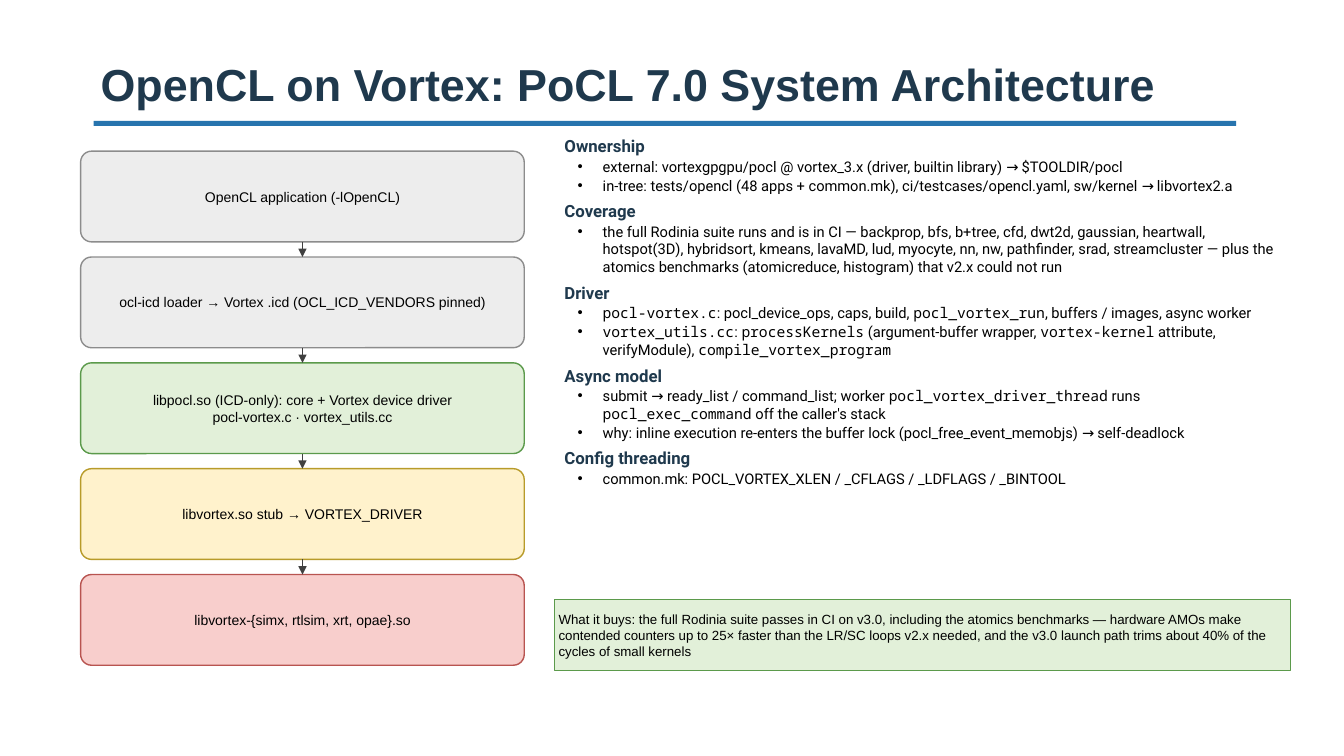
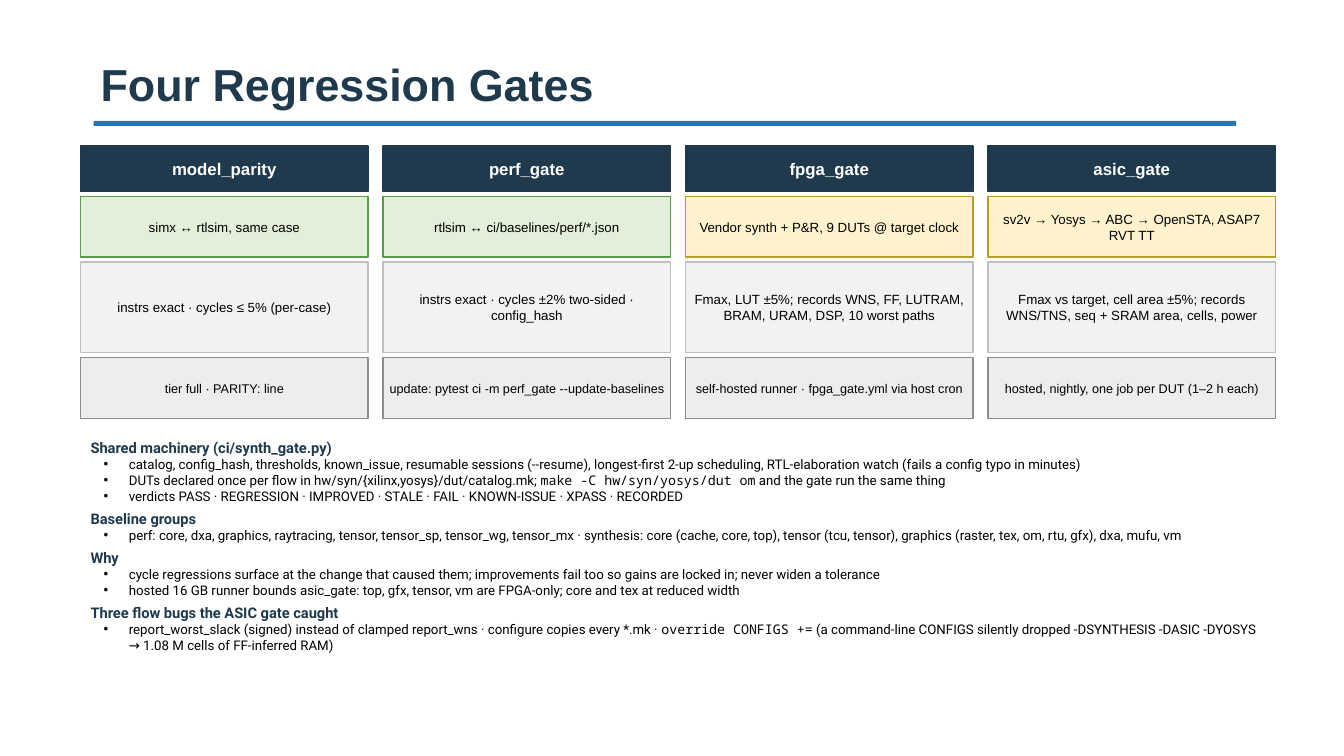
import lxml.etree
import pptx
import pptx.dml.color
import pptx.enum.shapes
import pptx.enum.text
import pptx.oxml.ns
import pptx.util

Inches = pptx.util.Inches
Pt = pptx.util.Pt
SHAPE = pptx.enum.shapes.MSO_SHAPE
ALIGN = pptx.enum.text.PP_ALIGN
ANCHOR = pptx.enum.text.MSO_ANCHOR

COLORS = {"navy": "1F394D", "blue": "2774AE", "black": "000000", "white": "FFFFFF", "arrow": "404040"}
PANELS = {
    "gray": ("EDEDED", "8C8C8C"),
    "light": ("F2F2F2", "BFBFBF"),
    "green": ("E2F0D9", "5B9A4B"),
    "yellow": ("FFF2CC", "B89B2A"),
    "red": ("F8CECC", "B85450"),
    "navy": (COLORS["navy"], COLORS["navy"]),
}
SANS, BODY, MONO = "Arial", "Roboto", "Noto Sans Mono"

STACK = [
    ("gray", "OpenCL application (-lOpenCL)"),
    ("gray", "ocl-icd loader → Vortex .icd (OCL_ICD_VENDORS pinned)"),
    ("green", "libpocl.so (ICD-only): core + Vortex device driver\npocl-vortex.c · vortex_utils.cc"),
    ("yellow", "libvortex.so stub → VORTEX_DRIVER"),
    ("red", "libvortex-{simx, rtlsim, xrt, opae}.so"),
]
ARCHITECTURE_NOTES = [
    ("Ownership", [
        "external: vortexgpgpu/pocl @ vortex_3.x (driver, builtin library) → $TOOLDIR/pocl",
        "in-tree: tests/opencl (48 apps + common.mk), ci/testcases/opencl.yaml, sw/kernel → libvortex2.a",
    ]),
    ("Coverage", [
        "the full Rodinia suite runs and is in CI — backprop, bfs, b+tree, cfd, dwt2d, gaussian, heartwall, "
        "hotspot(3D), hybridsort, kmeans, lavaMD, lud, myocyte, nn, nw, pathfinder, srad, streamcluster — "
        "plus the atomics benchmarks (atomicreduce, histogram) that v2.x could not run",
    ]),
    ("Driver", [
        "`pocl-vortex.c`: pocl_device_ops, caps, build, `pocl_vortex_run`, buffers / images, async worker",
        "`vortex_utils.cc`: `processKernels` (argument-buffer wrapper, `vortex-kernel` attribute, "
        "verifyModule), `compile_vortex_program`",
    ]),
    ("Async model", [
        "submit → ready_list / command_list; worker `pocl_vortex_driver_thread` runs "
        "`pocl_exec_command` off the caller's stack",
        "why: inline execution re-enters the buffer lock (pocl_free_event_memobjs) → self-deadlock",
    ]),
    ("Config threading", ["common.mk: POCL_VORTEX_XLEN / _CFLAGS / _LDFLAGS / _BINTOOL"]),
]
BENEFIT = (
    "What it buys: the full Rodinia suite passes in CI on v3.0, including the atomics benchmarks — "
    "hardware AMOs make contended counters up to 25× faster than the LR/SC loops v2.x needed, and the "
    "v3.0 launch path trims about 40% of the cycles of small kernels"
)
GATES = [
    ("green", ["model_parity", "simx ↔ rtlsim, same case", "instrs exact · cycles ≤ 5% (per-case)",
               "tier full · PARITY: line"]),
    ("green", ["perf_gate", "rtlsim ↔ ci/baselines/perf/*.json",
               "instrs exact · cycles ±2% two-sided · config_hash",
               "update: pytest ci -m perf_gate --update-baselines"]),
    ("yellow", ["fpga_gate", "Vendor synth + P&R, 9 DUTs @ target clock",
                "Fmax, LUT ±5%; records WNS, FF, LUTRAM, BRAM, URAM, DSP, 10 worst paths",
                "self-hosted runner · fpga_gate.yml via host cron"]),
    ("yellow", ["asic_gate", "sv2v → Yosys → ABC → OpenSTA, ASAP7 RVT TT",
                "Fmax vs target, cell area ±5%; records WNS/TNS, seq + SRAM area, cells, power",
                "hosted, nightly, one job per DUT (1–2 h each)"]),
]
GATE_NOTES = [
    ("Shared machinery (ci/synth_gate.py)", [
        "catalog, config_hash, thresholds, known_issue, resumable sessions (--resume), longest-first 2-up "
        "scheduling, RTL-elaboration watch (fails a config typo in minutes)",
        "DUTs declared once per flow in hw/syn/{xilinx,yosys}/dut/catalog.mk; "
        "`make -C hw/syn/yosys/dut om` and the gate run the same thing",
        "verdicts PASS · REGRESSION · IMPROVED · STALE · FAIL · KNOWN-ISSUE · XPASS · RECORDED",
    ]),
    ("Baseline groups", [
        "perf: core, dxa, graphics, raytracing, tensor, tensor_sp, tensor_wg, tensor_mx · synthesis: core "
        "(cache, core, top), tensor (tcu, tensor), graphics (raster, tex, om, rtu, gfx), dxa, mufu, vm",
    ]),
    ("Why", [
        "cycle regressions surface at the change that caused them; improvements fail too so gains are "
        "locked in; never widen a tolerance",
        "hosted 16 GB runner bounds asic_gate: top, gfx, tensor, vm are FPGA-only; core and tex at reduced width",
    ]),
    ("Three flow bugs the ASIC gate caught", [
        "report_worst_slack (signed) instead of clamped report_wns · configure copies every *.mk · "
        "`override CONFIGS +=` (a command-line CONFIGS silently dropped -DSYNTHESIS -DASIC -DYOSYS → "
        "1.08 M cells of FF-inferred RAM)",
    ]),
]


def rgb(value):
    """Return the colour object of a hex string."""
    return pptx.dml.color.RGBColor.from_string(value)


def set_font(font, name, size, color="black", bold=False):
    """Apply typeface, size, colour and weight to a font."""
    font.name, font.size, font.bold = name, Pt(size), bold
    font.color.rgb = rgb(COLORS[color])


def add_child(parent, tag, **attributes):
    """Append a drawing element to an XML parent."""
    return lxml.etree.SubElement(parent, pptx.oxml.ns.qn(tag), attributes)


def add_text_frame(page, left, top, width, height):
    """Add a wrapping text box and return its frame."""
    box = page.shapes.add_textbox(Inches(left), Inches(top), Inches(width), Inches(height))
    box.text_frame.word_wrap = True
    return box.text_frame


def add_page(deck, title):
    """Add a blank page with the shared title and rule."""
    page = deck.slides.add_slide(deck.slide_layouts[6])
    rule = page.shapes.add_shape(SHAPE.RECTANGLE, Inches(0.93), Inches(1.2), Inches(11.33), Inches(0.05))
    rule.shadow.inherit = False
    rule.fill.solid()
    rule.fill.fore_color.rgb = rgb(COLORS["blue"])
    rule.line.fill.background()
    frame = add_text_frame(page, 0.9, 0.25, 11.1, 0.9)
    frame.vertical_anchor = ANCHOR.BOTTOM
    para = frame.paragraphs[0]
    para.text = title
    set_font(para.font, SANS, 32, "navy", True)
    return page


def add_panel(page, left, top, width, height, style, text, size, align=ALIGN.CENTER, rounded=False,
              color="black", bold=False):
    """Add an outlined panel with middle-anchored text."""
    kind = SHAPE.ROUNDED_RECTANGLE if rounded else SHAPE.RECTANGLE
    panel = page.shapes.add_shape(kind, Inches(left), Inches(top), Inches(width), Inches(height))
    if rounded:
        panel.adjustments[0] = 0.12
    panel.shadow.inherit = False
    fill, outline = PANELS[style]
    panel.fill.solid()
    panel.fill.fore_color.rgb = rgb(fill)
    panel.line.color.rgb = rgb(outline)
    panel.line.width = Pt(1)
    frame = panel.text_frame
    frame.word_wrap = True
    frame.vertical_anchor = ANCHOR.MIDDLE
    frame.margin_left = frame.margin_right = Inches(0.04)
    frame.margin_top = frame.margin_bottom = Inches(0.02)
    frame.text = text
    for para in frame.paragraphs:
        para.alignment = align
        set_font(para.font, SANS, size, color, bold)
    return panel


def add_arrow(page, upper, lower):
    """Join two stacked panels with a downward arrow."""
    arrow = page.shapes.add_connector(pptx.enum.shapes.MSO_CONNECTOR.STRAIGHT, 0, 0, 0, 0)
    arrow.begin_connect(upper, 2)
    arrow.end_connect(lower, 0)
    arrow.line.color.rgb = rgb(COLORS["arrow"])
    arrow.line.width = Pt(1.25)
    add_child(arrow.line._get_or_add_ln(), "a:tailEnd", type="triangle")
    add_child(arrow._element.spPr, "a:effectLst")


def add_bullet(para, text, size, space):
    """Fill a bulleted paragraph, with backticked parts in monospace."""
    para.level = 1
    para.space_before = Pt(space)
    properties = para._p.get_or_add_pPr()
    properties.set("marL", str(Inches(0.38)))
    properties.set("indent", str(-Inches(0.25)))
    add_child(properties, "a:buFont", typeface=SANS)
    add_child(properties, "a:buChar", char="•")
    set_font(para.font, BODY, size)
    for index, part in enumerate(text.split("`")):
        if part:
            span = para.add_run()
            span.text = part
            if index % 2:
                span.font.name = MONO


def add_notes(page, left, top, width, height, sections, heading_size, size, heading_space, space):
    """Add headed groups of bullets in one text box."""
    frame = add_text_frame(page, left, top, width, height)
    for index, (heading, bullets) in enumerate(sections):
        para = frame.add_paragraph() if index else frame.paragraphs[0]
        para.text = heading
        para.space_before = Pt(heading_space if index else 0)
        set_font(para.font, BODY, heading_size, "navy", True)
        for text in bullets:
            add_bullet(frame.add_paragraph(), text, size, space)


def add_stack(page, left, top, width, layer_height, gap):
    """Add the software layers, joined from top to bottom."""
    layers = [
        add_panel(page, left, top + row * (layer_height + gap), width, layer_height, style, text, 10, rounded=True)
        for row, (style, text) in enumerate(STACK)
    ]
    for upper, lower in zip(layers, layers[1:]):
        add_arrow(page, upper, lower)


def add_gates(page, left, top, width, column_gap, row_gap):
    """Add one column of panels for each gate."""
    for column, (accent, texts) in enumerate(GATES):
        x, y = left + column * (width + column_gap), top
        rows = [("navy", 0.45, 12), (accent, 0.6, 9.5), ("light", 0.9, 9.5), ("gray", 0.6, 9)]
        for (style, height, size), text in zip(rows, texts):
            header = style == "navy"
            add_panel(page, x, y, width, height, style, text, size,
                      color="white" if header else "black", bold=header)
            y += height + row_gap


def build_architecture(deck):
    """Build the system architecture page."""
    page = add_page(deck, "OpenCL on Vortex: PoCL 7.0 System Architecture")
    add_notes(page, 5.5, 1.3, 7.3, 4.6, ARCHITECTURE_NOTES, 12, 10.5, 5, 1)
    add_stack(page, 0.8, 1.5, 4.4, 0.9, 0.15)
    add_panel(page, 5.5, 5.95, 7.3, 0.7, "green", BENEFIT, 9.5, align=ALIGN.LEFT)


def build_gates(deck):
    """Build the regression gates page."""
    page = add_page(deck, "Four Regression Gates")
    add_notes(page, 0.8, 4.3, 11.9, 2.5, GATE_NOTES, 10.5, 9.5, 4, 0)
    add_gates(page, 0.8, 1.45, 2.85, 0.15, 0.05)


def main():
    """Build and save the deck."""
    deck = pptx.Presentation()
    deck.slide_width, deck.slide_height = Inches(13.33), Inches(7.5)
    build_architecture(deck)
    build_gates(deck)
    deck.save("out.pptx")


if __name__ == "__main__":
    main()
